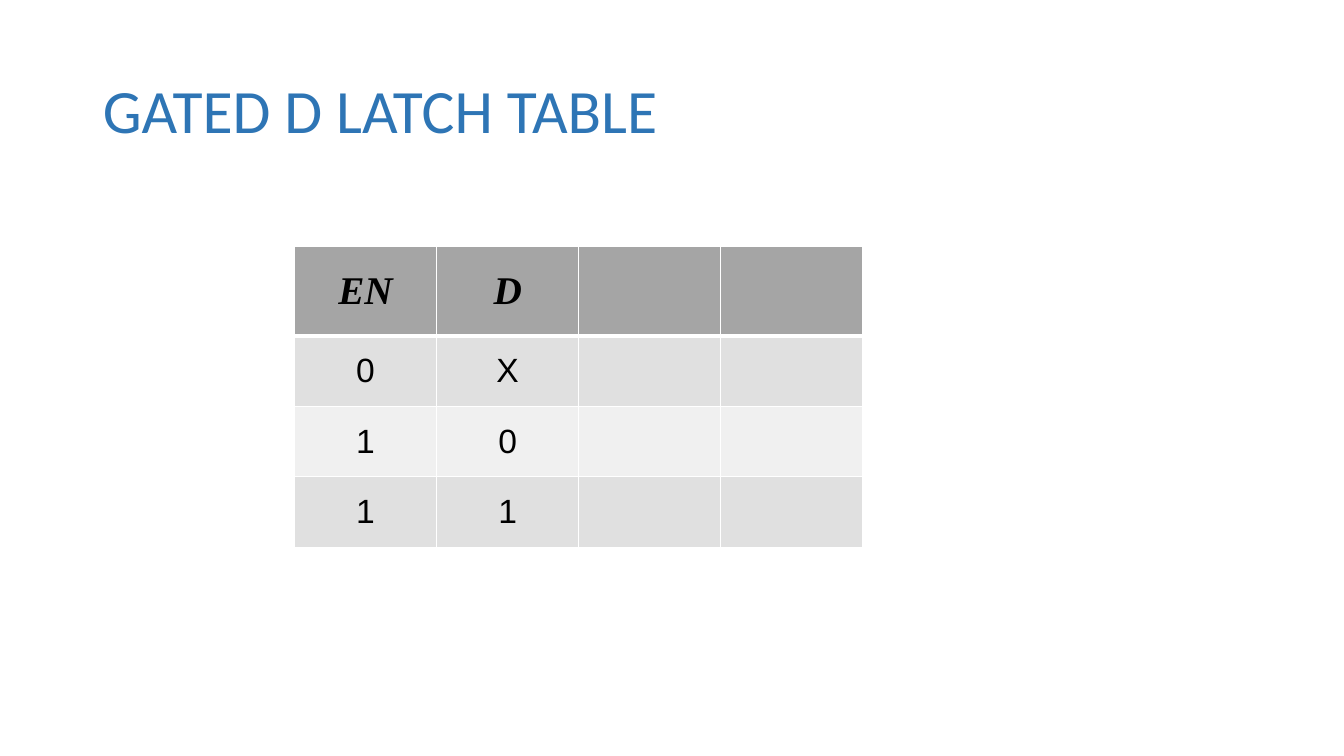
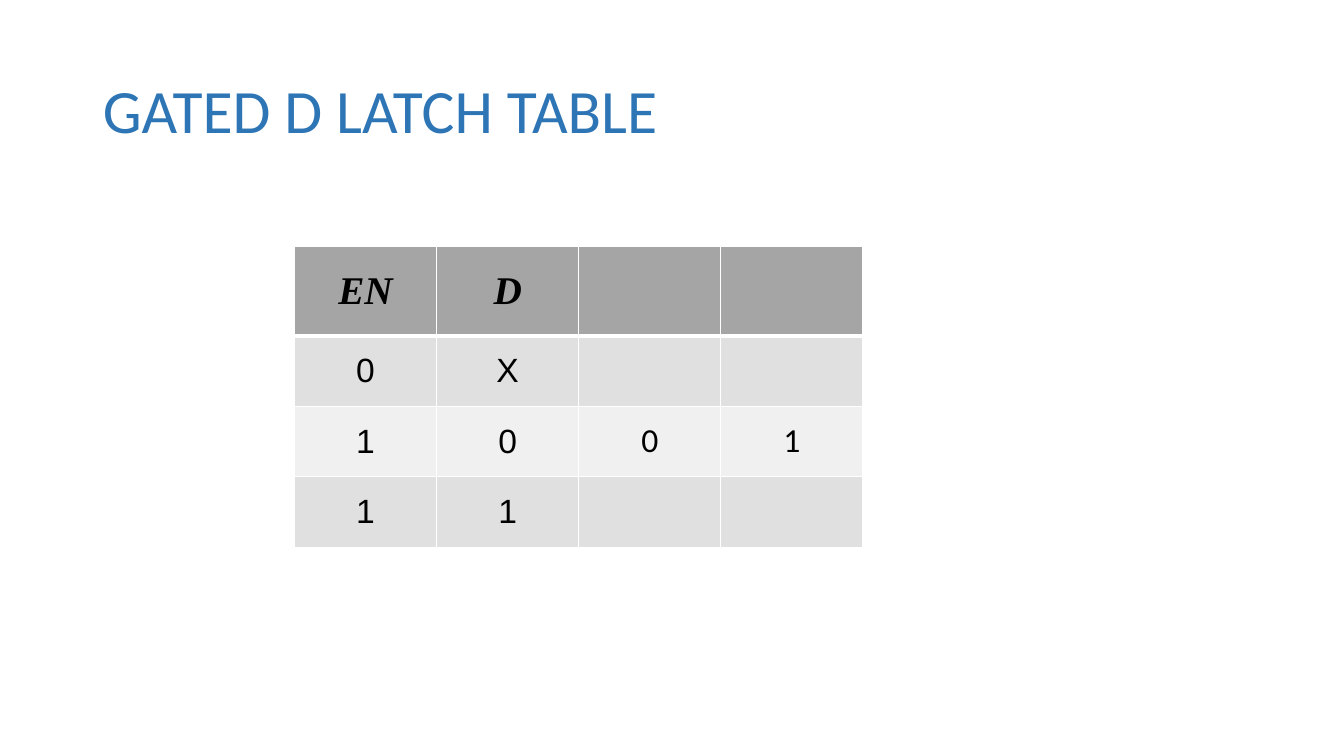
from dataclasses import dataclass

from lxml.etree import SubElement
from pptx import Presentation
from pptx.dml.color import RGBColor
from pptx.enum.text import MSO_ANCHOR, MSO_AUTO_SIZE, PP_ALIGN
from pptx.oxml.ns import qn
from pptx.presentation import Presentation as PresentationType
from pptx.slide import Slide
from pptx.table import _Cell
from pptx.text.text import TextFrame
from pptx.util import Inches, Pt


@dataclass(frozen=True)
class Theme:
    title_color: str = "2E75B5"
    text_color: str = "000000"
    border_color: str = "FFFFFF"
    header_fill: str = "A5A5A5"
    band_fills: tuple[str, str] = ("E0E0E0", "F0F0F0")
    title_font: str = "Calibri"
    header_font: str = "Times New Roman"
    input_font: str = "Arial"
    output_font: str = "Calibri"
    title_size: int = 44
    header_size: int = 28
    body_size: int = 24
    thin_border: float = 1
    thick_border: float = 3


@dataclass(frozen=True)
class LatchState:
    enable: str
    data: str
    output: str = ""
    inverted_output: str = ""

    def values(self) -> tuple[str, str, str, str]:
        return self.enable, self.data, self.output, self.inverted_output


THEME = Theme()
TITLE = "GATED D LATCH TABLE"
HEADER = LatchState("EN", "D")
HOLD = LatchState("0", "X")
SET = LatchState("1", "1")
SLIDE_STATES = (
    (HOLD, LatchState("1", "0"), SET),
    (HOLD, LatchState("1", "0", "0", "1"), SET),
)
INPUT_COLUMNS = 2
COLUMN_WIDTH = Inches(1.41)
HEADER_HEIGHT = Inches(0.89)
ROW_HEIGHT = Inches(0.7)


def write_text(frame: TextFrame, text: str, *, font: str, size: int, color: str,
               align: PP_ALIGN = PP_ALIGN.LEFT, bold: bool = False,
               italic: bool = False, line_spacing: float = 1.0) -> None:
    frame.text = text
    paragraph = frame.paragraphs[0]
    paragraph.alignment = align
    paragraph.line_spacing = line_spacing
    run_font = paragraph.runs[0].font
    run_font.name = font
    run_font.size = Pt(size)
    run_font.bold = bold
    run_font.italic = italic
    run_font.color.rgb = RGBColor.from_string(color)


def set_borders(cell: _Cell, top: float, bottom: float) -> None:
    """Draw the cell's borders; call before filling, as the schema puts lines first."""
    properties = cell._tc.get_or_add_tcPr()
    widths = {"L": THEME.thin_border, "R": THEME.thin_border, "T": top, "B": bottom}
    for side, width in widths.items():
        line = SubElement(properties, qn(f"a:ln{side}"), w=str(Pt(width)))
        fill = SubElement(line, qn("a:solidFill"))
        SubElement(fill, qn("a:srgbClr"), val=THEME.border_color)


def format_cell(cell: _Cell, text: str, row: int, column: int) -> None:
    is_header = row == 0
    set_borders(cell,
                top=THEME.thick_border if row == 1 else THEME.thin_border,
                bottom=THEME.thick_border if is_header else THEME.thin_border)
    fill_color = THEME.header_fill if is_header else THEME.band_fills[(row - 1) % 2]
    cell.fill.solid()
    cell.fill.fore_color.rgb = RGBColor.from_string(fill_color)
    cell.vertical_anchor = MSO_ANCHOR.MIDDLE
    if not text:
        return
    body_font = THEME.input_font if column < INPUT_COLUMNS else THEME.output_font
    write_text(cell.text_frame, text,
               font=THEME.header_font if is_header else body_font,
               size=THEME.header_size if is_header else THEME.body_size,
               color=THEME.text_color, align=PP_ALIGN.CENTER,
               bold=is_header, italic=is_header)


def add_title(slide: Slide) -> None:
    title = slide.shapes.title
    title.left, title.top = Inches(0.92), Inches(0.4)
    title.width, title.height = Inches(11.5), Inches(1.45)
    frame = title.text_frame
    frame.word_wrap = True
    frame.auto_size = MSO_AUTO_SIZE.NONE
    frame.vertical_anchor = MSO_ANCHOR.MIDDLE
    write_text(frame, TITLE, font=THEME.title_font, size=THEME.title_size,
               color=THEME.title_color, line_spacing=0.9)


def add_latch_table(slide: Slide, states: tuple[LatchState, ...]) -> None:
    rows = [state.values() for state in (HEADER, *states)]
    column_count = len(rows[0])
    table = slide.shapes.add_table(
        len(rows), column_count, Inches(2.92), Inches(2.44),
        COLUMN_WIDTH * column_count, HEADER_HEIGHT + ROW_HEIGHT * len(states)).table
    for column in table.columns:
        column.width = COLUMN_WIDTH
    for row_index, values in enumerate(rows):
        table.rows[row_index].height = ROW_HEIGHT if row_index else HEADER_HEIGHT
        for column_index, text in enumerate(values):
            format_cell(table.cell(row_index, column_index), text, row_index, column_index)


def add_latch_slide(presentation: PresentationType, states: tuple[LatchState, ...]) -> None:
    title_only = presentation.slide_layouts.get_by_name("Title Only")
    slide = presentation.slides.add_slide(title_only)
    add_title(slide)
    add_latch_table(slide, states)


def main() -> None:
    presentation = Presentation()
    presentation.slide_width = Inches(13.33)
    presentation.slide_height = Inches(7.5)
    for states in SLIDE_STATES:
        add_latch_slide(presentation, states)
    presentation.save("out.pptx")


if __name__ == "__main__":
    main()
